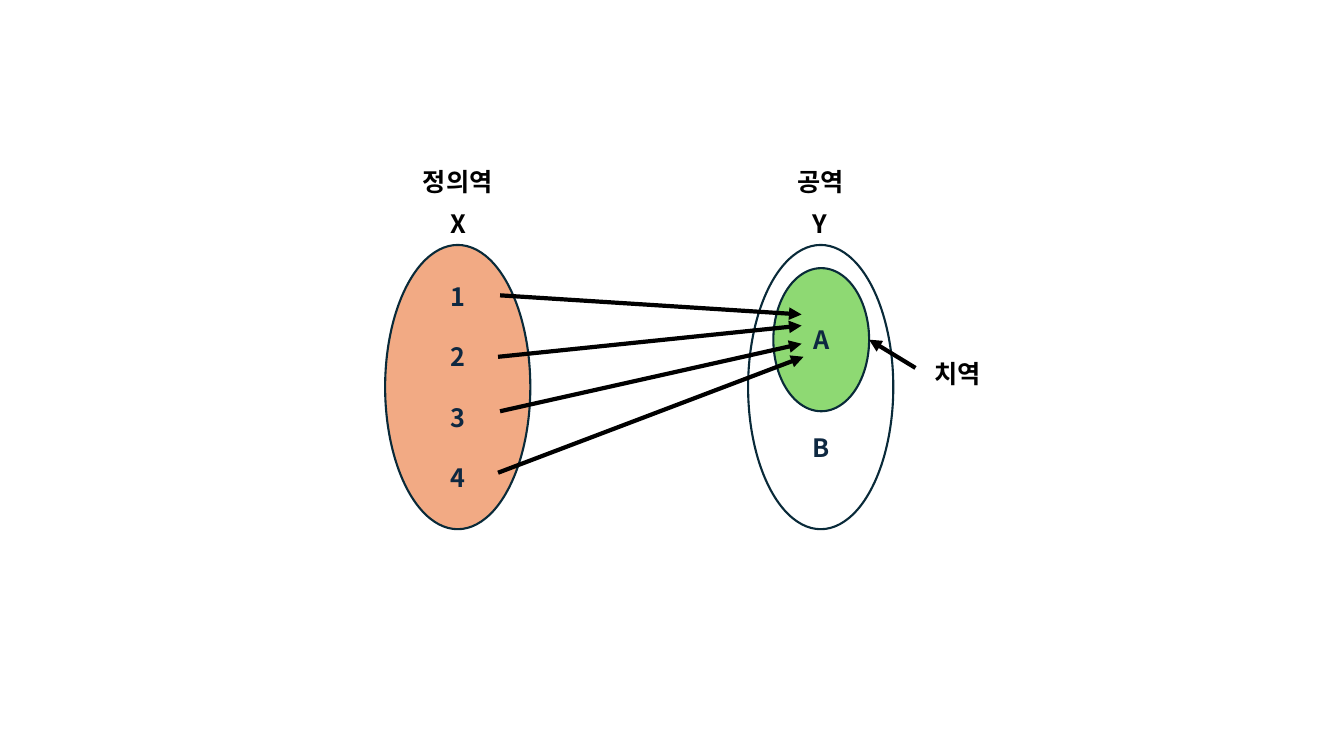
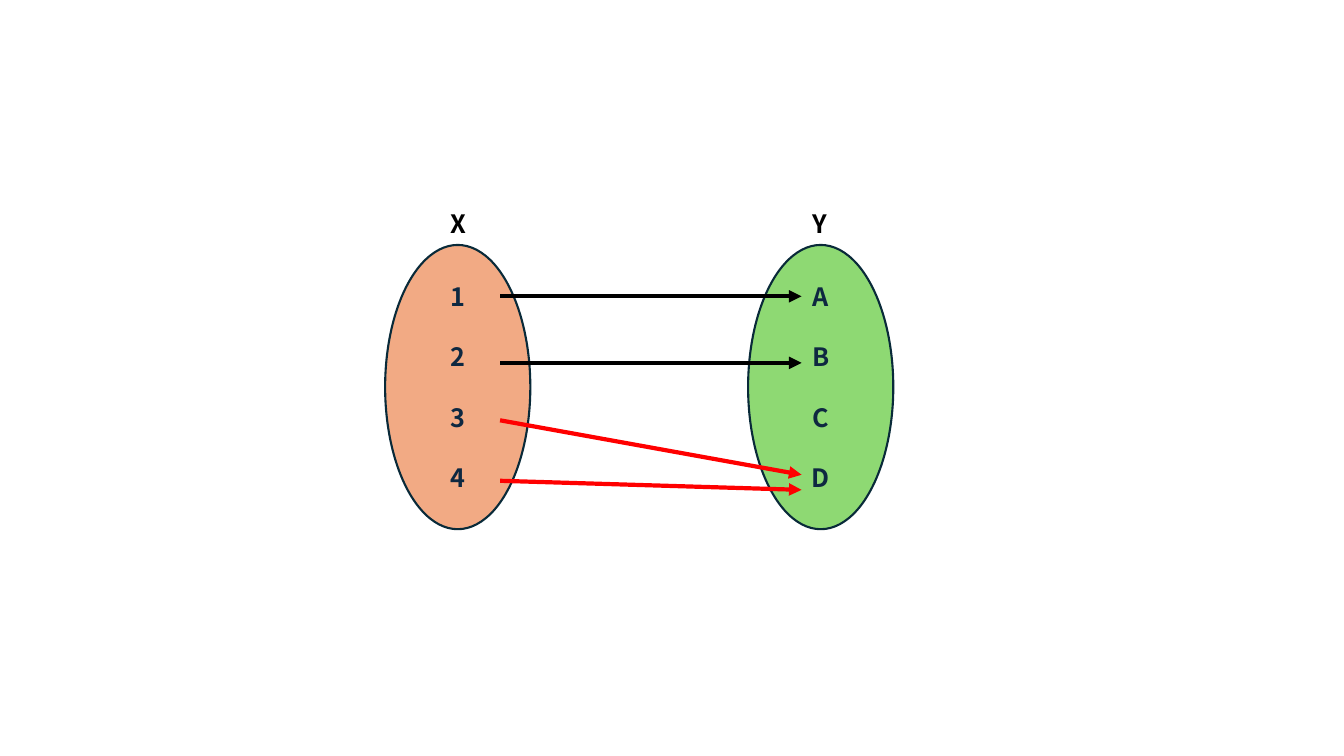
from pptx import Presentation
from pptx import util as u
from pptx.dml.color import RGBColor
from pptx.enum import shapes, text
from pptx.oxml.ns import qn
from lxml import etree

PX = 9144
FONT = "Noto Sans CJK KR"
SIZE = 18
LINE = 21.5
GAP = 120
HUE = {"peach": "F2AA84", "green": "8ED973", "white": "FFFFFF", "edge": "092A39",
       "navy": "0E2841", "black": "000000", "red": "FF0000"}
LEFT = (382, 243, 144, 282)
RIGHT = (742, 243, 144, 282)
RANGE = (767, 266, 95, 142)
NAMES = [("X", 436, 202, 37), ("Y", 795, 202, 37)]

PAGES = [
    {"ovals": [(LEFT, "peach", "1234", 0), (RIGHT, "white", "B", GAP), (RANGE, "green", "A", 0)],
     "names": NAMES + [("정의역", 406, 160, 96), ("공역", 778, 160, 71), ("치역", 914, 351, 71)],
     "lines": [(496, 293, 795, 312, "black"), (494, 354, 795, 323, "black"),
               (496, 408, 795, 341, "black"), (494, 469, 797, 354, "black"),
               (908, 365, 862, 337, "black")]},
    {"ovals": [(LEFT, "peach", "1234", 0), (RIGHT, "green", "ABCD", 0)],
     "names": NAMES,
     "lines": [(496, 294, 795, 294, "black"), (496, 360, 795, 360, "black"),
               (496, 417, 795, 471, "red"), (496, 477, 795, 486, "red")]},
]


def rgb(name):
    return RGBColor.from_string(HUE[name])


def write(par, word, hue):
    par.alignment = text.PP_ALIGN.CENTER
    run = par.add_run()
    run.text = word
    run.font.name = FONT
    run.font.size = u.Pt(SIZE)
    run.font.bold = True
    run.font.color.rgb = rgb(hue)
    etree.SubElement(run.font._element, qn("a:ea"), typeface=FONT)


prs = Presentation()
prs.slide_width = 1333 * PX
prs.slide_height = 750 * PX

for page in PAGES:
    slide = prs.slides.add_slide(prs.slide_layouts[6])

    for box, fill, marks, drop in page["ovals"]:
        oval = slide.shapes.add_shape(shapes.MSO_SHAPE.OVAL, *[n * PX for n in box])
        oval.shadow.inherit = False
        oval.fill.solid()
        oval.fill.fore_color.rgb = rgb(fill)
        oval.line.color.rgb = rgb("edge")
        oval.line.width = u.Pt(1.5)
        frame = oval.text_frame
        frame.vertical_anchor = text.MSO_ANCHOR.MIDDLE
        frame.margin_top = (5 + drop) * PX
        frame.margin_bottom = 5 * PX
        for i, mark in enumerate(marks):
            par = frame.add_paragraph() if i else frame.paragraphs[0]
            par.line_spacing = u.Pt(LINE)
            if i:
                par.space_before = u.Pt(LINE)
            write(par, mark, "navy")

    for word, x, y, width in page["names"]:
        label = slide.shapes.add_textbox(x * PX, y * PX, width * PX, 40 * PX)
        frame = label.text_frame
        frame.word_wrap = False
        frame.auto_size = text.MSO_AUTO_SIZE.SHAPE_TO_FIT_TEXT
        write(frame.paragraphs[0], word, "black")

    for *ends, hue in page["lines"]:
        arrow = slide.shapes.add_connector(shapes.MSO_CONNECTOR.STRAIGHT, *[n * PX for n in ends])
        arrow.line.color.rgb = rgb(hue)
        arrow.line.width = u.Pt(3)
        etree.SubElement(arrow.line._get_or_add_ln(), qn("a:tailEnd"), type="triangle")
        etree.SubElement(arrow._element.spPr, qn("a:effectLst"))

prs.save("out.pptx")
